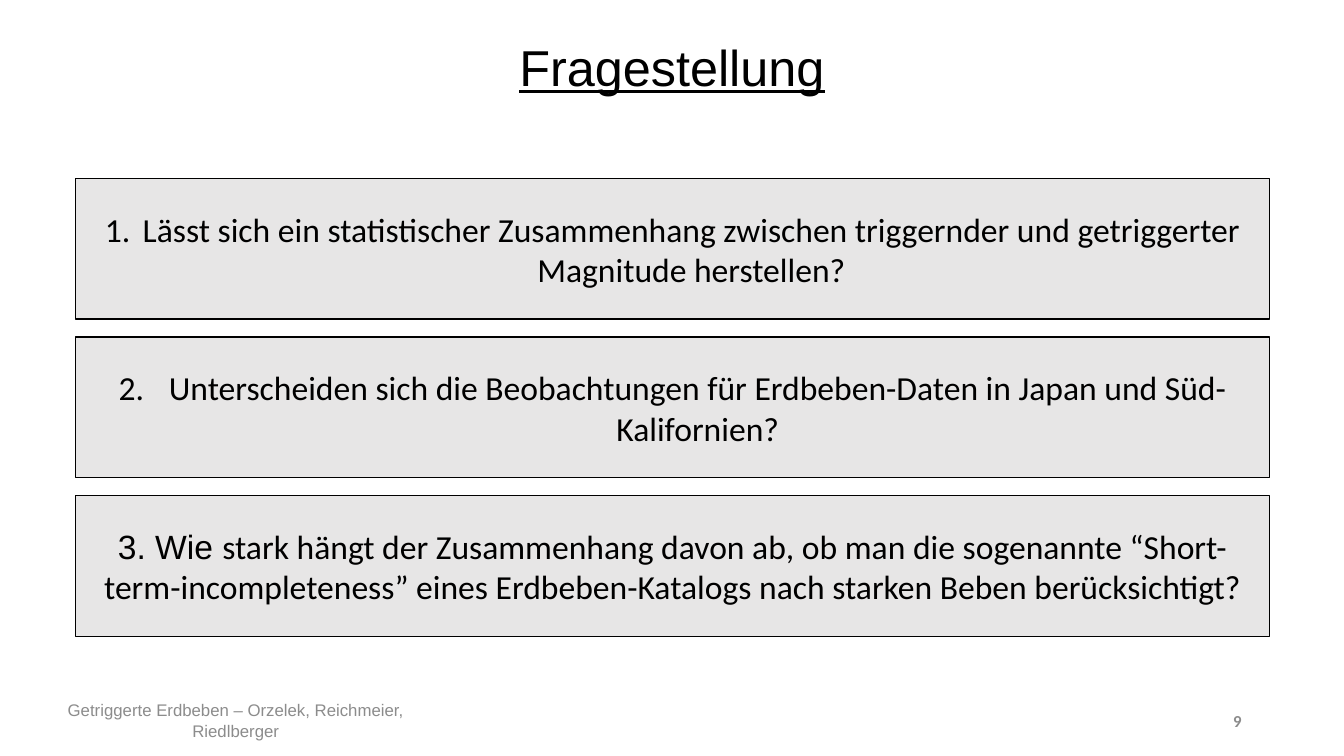
import pptx
import pptx.util
import pptx.dml.color
import pptx.enum.shapes
import pptx.enum.text
import lxml.etree

PX = 9525  # EMU per px, 96 px to the inch
BLACK = pptx.dml.color.RGBColor(0x00, 0x00, 0x00)
GREY = pptx.dml.color.RGBColor(0x8C, 0x8C, 0x8C)
PALE = pptx.dml.color.RGBColor(0xE7, 0xE6, 0xE6)
ALIGN = pptx.enum.text.PP_ALIGN

# Each question: number, hanging indent in px, runs of (text, font).
# An indent of 0 means the number is typed in the text.
ASKS = [
    (1, 36, [("Lässt sich ein statistischer Zusammenhang zwischen triggernder "
              "und getriggerter Magnitude herstellen?", "Calibri")]),
    (2, 48, [("Unterscheiden sich die Beobachtungen für Erdbeben-Daten in "
              "Japan und Süd-Kalifornien?", "Calibri")]),
    (3, 0, [("3. Wie ", "Arial"),
            ("stark hängt der Zusammenhang davon ab, ob man die sogenannte "
             "“Short-term-incompleteness” eines Erdbeben-Katalogs nach "
             "starken Beben berücksichtigt?", "Calibri")]),
]


def scale(*box):
    return [pptx.util.Emu(n * PX) for n in box]


def write(shape, runs, size, color, align=ALIGN.CENTER):
    """Fill the shape with one middle-anchored paragraph and return it."""
    frame = shape.text_frame
    frame.word_wrap = True
    frame.vertical_anchor = pptx.enum.text.MSO_ANCHOR.MIDDLE
    para = frame.paragraphs[0]
    para.alignment = align
    para.font.size = pptx.util.Pt(size)
    para.font.color.rgb = color
    para.font.name = runs[0][1]
    for text, font in runs:
        run = para.add_run()
        run.text = text
        if len(runs) > 1:
            run.font.name = font
    return para


def number(para, start, indent):
    """Give the paragraph an automatic number with a hanging indent."""
    props = para._p.get_or_add_pPr()
    props.set("marL", str(indent * PX))
    props.set("indent", str(-indent * PX))
    mark = lxml.etree.Element(pptx.oxml.ns.qn("a:buAutoNum"),
                              type="arabicPeriod", startAt=str(start))
    props.insert(0, mark)


def title(slide, box):
    shape = slide.shapes.add_textbox(*scale(*box))
    para = write(shape, [("Fragestellung", "Arial")], 36, BLACK)
    para.line_spacing = 0.9
    para.font.underline = True


def asks(slide, box, gap):
    """Stack the question panels evenly in the box."""
    left, top, width, height = box
    each = (height - gap * (len(ASKS) - 1)) // len(ASKS)
    for i, (start, indent, runs) in enumerate(ASKS):
        panel = slide.shapes.add_shape(
            pptx.enum.shapes.MSO_SHAPE.RECTANGLE,
            *scale(left, top + i * (each + gap), width, each))
        panel.shadow.inherit = False
        panel.fill.solid()
        panel.fill.fore_color.rgb = PALE
        panel.line.color.rgb = BLACK
        panel.line.width = pptx.util.Pt(1)
        para = write(panel, runs, 24, BLACK)
        if indent:
            number(para, start, indent)


def footer(slide, box):
    left, top, width, height = box
    names = slide.shapes.add_textbox(*scale(left, top, 425, height))
    write(names, [("Getriggerte Erdbeben – Orzelek, Reichmeier, Riedlberger",
                   "Arial")], 12, GREY)
    page = slide.shapes.add_textbox(
        *scale(left + width - 288, top, 288, height))
    para = write(page, [("9", "Calibri")], 12, GREY, ALIGN.RIGHT)
    para.font.bold = True


def main():
    deck = pptx.Presentation()
    deck.slide_width, deck.slide_height = scale(1280, 720)
    slide = deck.slides.add_slide(deck.slide_layouts[6])
    title(slide, (88, -3, 1104, 139))
    asks(slide, (72, 170, 1137, 436), 17)
    footer(slide, (12, 667, 1180, 38))
    deck.save("out.pptx")


if __name__ == "__main__":
    main()
